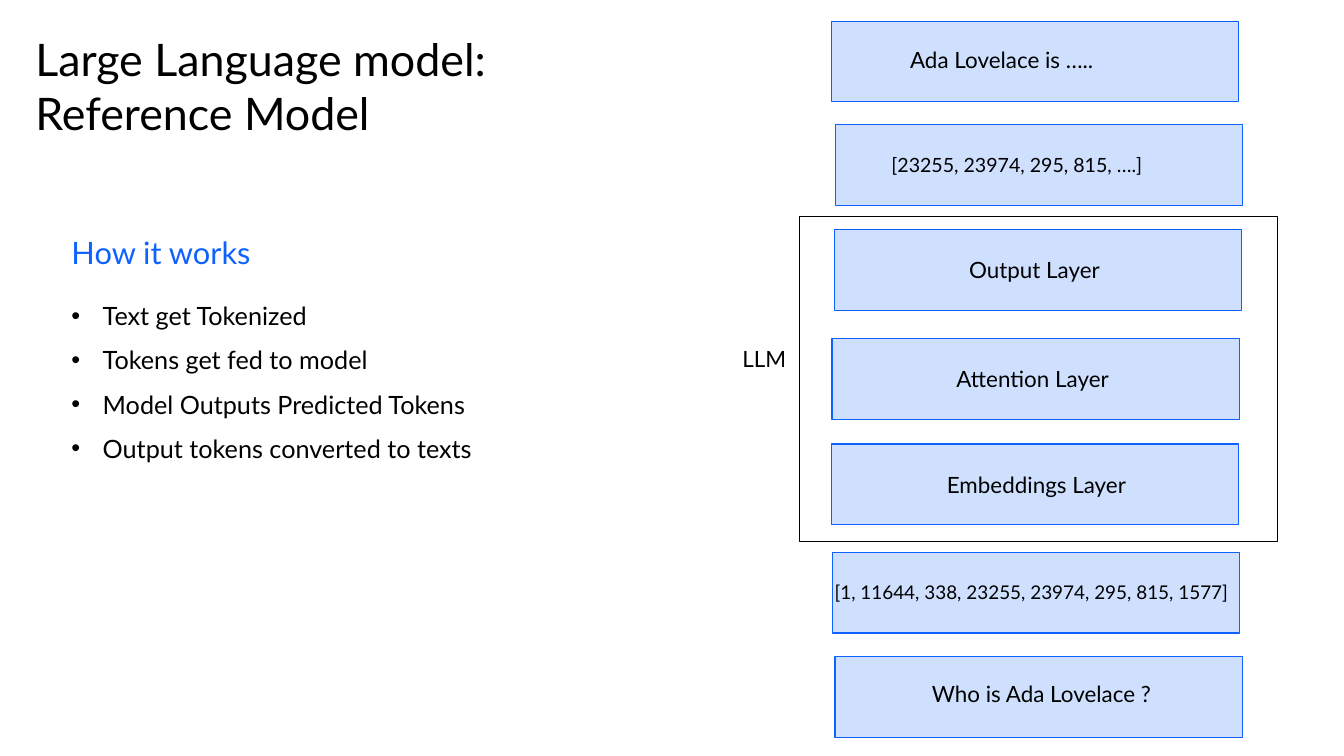
from lxml import etree
from pptx import Presentation
from pptx.dml.color import RGBColor
from pptx.enum.shapes import MSO_SHAPE as SHAPE
from pptx.enum.text import MSO_ANCHOR as ANCHOR, MSO_AUTO_SIZE as FIT, PP_ALIGN as ALIGN
from pptx.oxml.ns import qn
from pptx.util import Inches, Pt

COLORS = {"text": "000000", "accent": "0F62FE", "block": "CFE0FF"}
FONT = "Lato"
BLOCK_W, BLOCK_H = 8.08, 1.6

STEPS = [
    ("Ada Lovelace is …..", 32, (0.64, 0.42), (1.56, 0.5, 4.56, 0.54)),
    ("[23255, 23974, 295, 815, ….]", 28, (0.72, 2.47), (1.11, 0.57, 5.86, 0.47)),
    ("Output Layer", 32, (0.7, 4.56), (2.67, 0.53, 2.65, 0.54)),
    ("Attention Layer", 32, (0.65, 6.72), (2.47, 0.53, 3.12, 0.54)),
    ("Embeddings Layer", 32, (0.64, 8.81), (2.29, 0.53, 3.67, 0.54)),
    ("[1, 11644, 338, 23255, 23974, 295, 815, 1577]", 27, (0.66, 10.96), (0.04, 0.57, 8.41, 0.47)),
    ("Who is Ada Lovelace ?", 32, (0.71, 13.03), (1.92, 0.46, 4.56, 1.08)),
]
BULLETS = [
    "Text get Tokenized",
    "Tokens get fed to model",
    "Model Outputs Predicted Tokens",
    "Output tokens converted to texts",
]


def rgb(name):
    return RGBColor.from_string(COLORS[name])


def set_attrs(obj, values):
    for key, value in values.items():
        setattr(obj, key, value)


def write(p, text, size, color="text"):
    r = p.add_run()
    r.text = text
    set_attrs(r.font, {"name": FONT, "size": Pt(size)})
    r.font.color.rgb = rgb(color)


def set_frame(tf, inset_x=0, inset_y=0):
    set_attrs(tf, {
        "word_wrap": True, "auto_size": FIT.NONE, "vertical_anchor": ANCHOR.TOP,
        "margin_left": Inches(inset_x), "margin_right": Inches(inset_x),
        "margin_top": Inches(inset_y), "margin_bottom": Inches(inset_y),
    })


def add_label(slide, box, text, size):
    tf = slide.shapes.add_textbox(*map(Inches, box)).text_frame
    set_frame(tf)
    write(tf.paragraphs[0], text, size)


def add_rect(slide, box, line, fill=None):
    sp = slide.shapes.add_shape(SHAPE.RECTANGLE, *map(Inches, box))
    sp.shadow.inherit = False
    if fill:
        sp.fill.solid()
        sp.fill.fore_color.rgb = rgb(fill)
    else:
        sp.fill.background()
    sp.line.color.rgb = rgb(line)
    sp.line.width = Pt(1.5)


def add_title(slide, box):
    title = slide.shapes.title
    set_attrs(title, dict(zip(("left", "top", "width", "height"), map(Inches, box))))
    set_frame(title.text_frame)
    p = title.text_frame.paragraphs[0]
    p.alignment = ALIGN.LEFT
    write(p, "Large Language model: Reference Model", 64)


def add_bullet(p, indent):
    pPr = p._p.get_or_add_pPr()
    pPr.set("marL", str(Inches(indent)))
    pPr.set("indent", str(-Inches(indent)))
    color = etree.SubElement(pPr, qn("a:buClr"))
    etree.SubElement(color, qn("a:srgbClr"), val=COLORS["text"])
    etree.SubElement(pPr, qn("a:buFont"), typeface="Arial")
    etree.SubElement(pPr, qn("a:buChar"), char="•")


def add_explanation(slide, box):
    tf = slide.shapes.add_textbox(*map(Inches, box)).text_frame
    set_frame(tf, 0.1, 0.05)
    heading = tf.paragraphs[0]
    heading.space_after = Pt(43)
    write(heading, "How it works", 44, "accent")
    for text in BULLETS:
        p = tf.add_paragraph()
        add_bullet(p, 0.62)
        p.space_after = Pt(20)
        write(p, text, 36)


def add_pipeline(slide, box):
    left, top, width, _ = box
    for text, size, (x, y), (dx, dy, w, h) in STEPS:
        x, y = left + x, top + y
        add_rect(slide, (x, y, BLOCK_W, BLOCK_H), "accent", "block")
        add_label(slide, (x + dx, y + dy, w, h), text, size)
    add_rect(slide, (left, top + 4.3, width, 6.44), "text")
    add_label(slide, (left - 1.13, top + 6.85, 0.96, 0.54), "LLM", 32)


def main():
    prs = Presentation()
    set_attrs(prs, {"slide_width": Inches(26.67), "slide_height": Inches(15)})
    slide = prs.slides.add_slide(prs.slide_layouts[5])
    add_title(slide, (0.7, 0.63, 12.08, 2.3))
    add_explanation(slide, (1.32, 4.58, 10.12, 6.87))
    add_pipeline(slide, (15.86, 0, 9.5, 15))
    prs.save("out.pptx")


if __name__ == "__main__":
    main()
